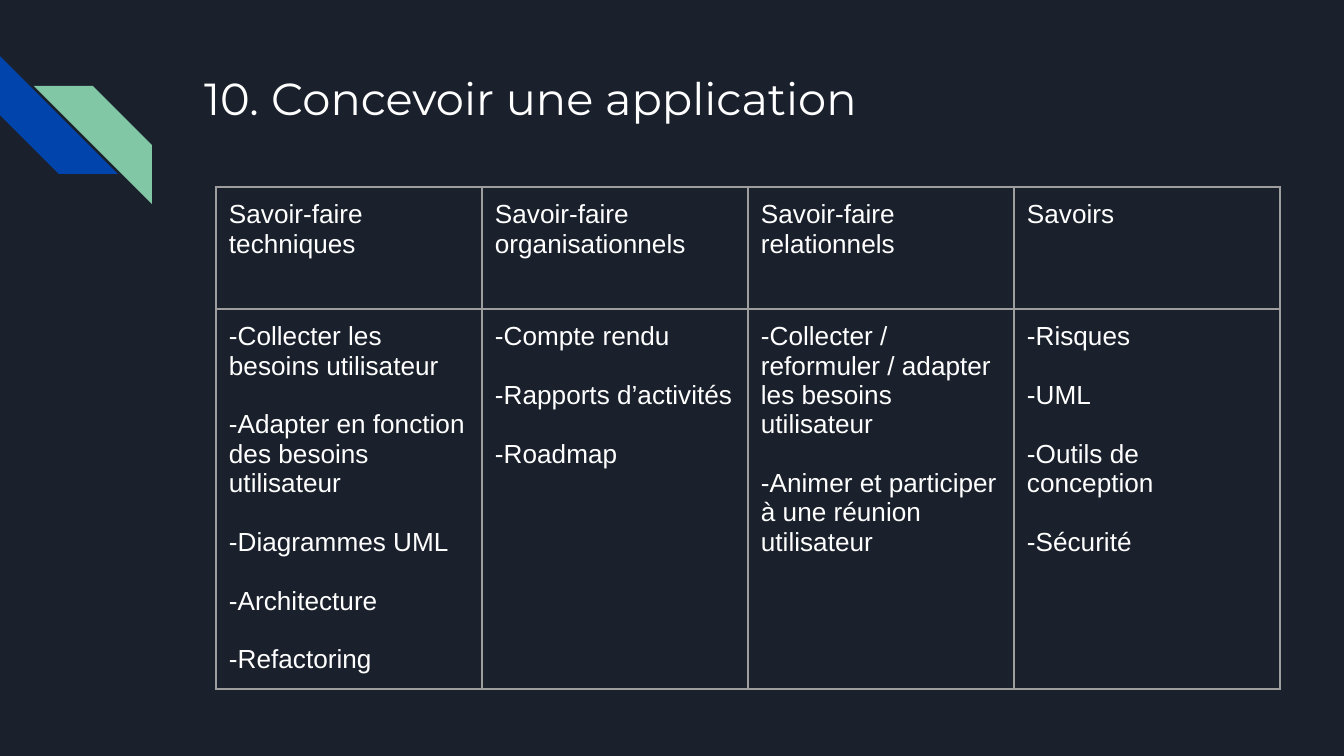
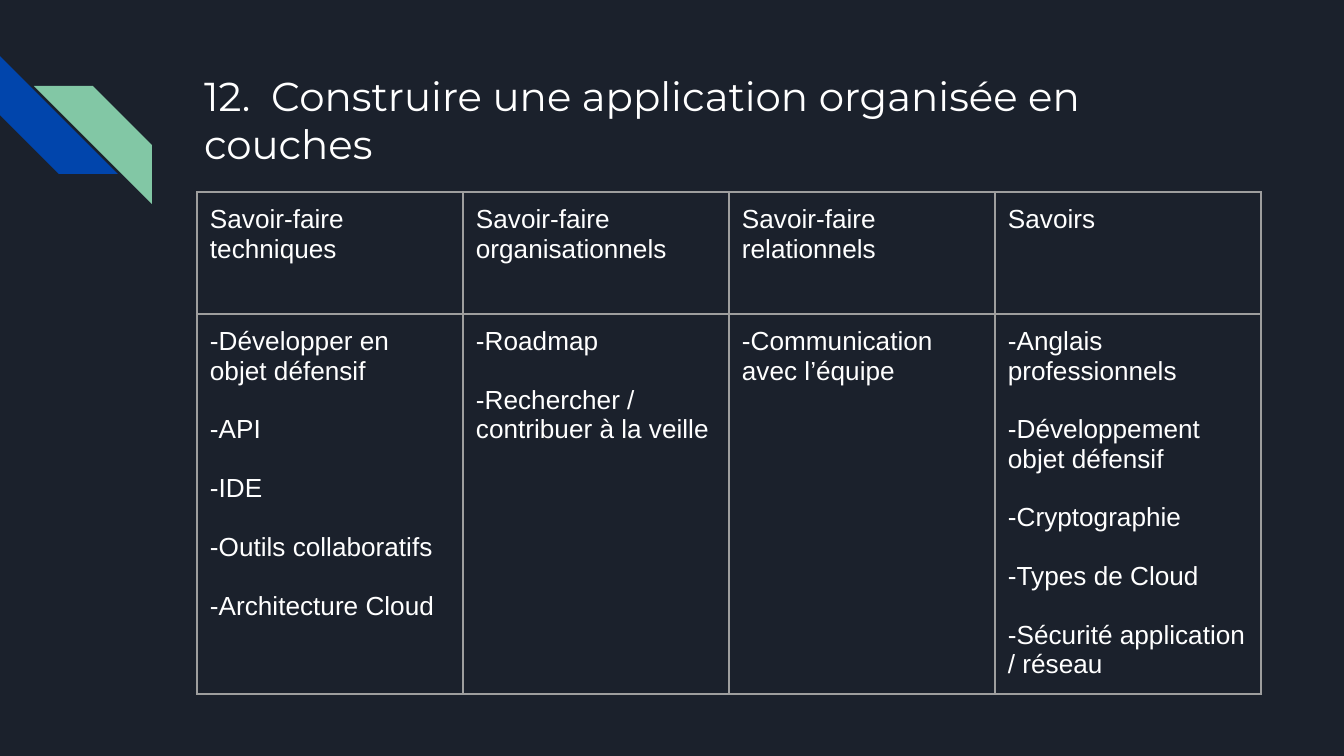
from lxml import etree
from pptx import Presentation
from pptx.dml.color import RGBColor
from pptx.enum.shapes import MSO_SHAPE
from pptx.enum.text import MSO_ANCHOR, MSO_AUTO_SIZE, PP_ALIGN
from pptx.oxml.ns import qn
from pptx.util import Pt

PX = 914400 / 134.4
TITLE_ONLY = 5
STRIPE = MSO_SHAPE.DIAGONAL_STRIPE
TOP = MSO_ANCHOR.TOP
LEFT = PP_ALIGN.LEFT
NO_AUTOFIT = MSO_AUTO_SIZE.NONE

NAVY = RGBColor(0x1B, 0x21, 0x2C)
BLUE = RGBColor(0x01, 0x45, 0xAC)
GREEN = RGBColor(0x82, 0xC7, 0xA5)
GREY = RGBColor(0x9E, 0x9E, 0x9E)
WHITE = RGBColor(0xFF, 0xFF, 0xFF)

TITLE_BOX = (191, 58, 1035, 134)
STRIPES_ORIGIN = (0, 56)
STRIPE_SIZE = 118
INSET = 13
COLUMN_WIDTH = 266
ROW_HEIGHTS = (122, 380)
HEADERS = ["Savoir-faire techniques", "Savoir-faire organisationnels",
           "Savoir-faire relationnels", "Savoirs"]

SLIDES = [
    {
        "title": "10.\tConcevoir une application",
        "title_size": 24,
        "table_at": (216, 187),
        "skills": [
            ["-Collecter les besoins utilisateur",
             "-Adapter en fonction des besoins utilisateur",
             "-Diagrammes UML", "-Architecture", "-Refactoring"],
            ["-Compte rendu", "-Rapports d’activités", "-Roadmap"],
            ["-Collecter / reformuler / adapter les besoins utilisateur",
             "-Animer et participer à une réunion utilisateur"],
            ["-Risques", "-UML", "-Outils de conception", "-Sécurité"],
        ],
    },
    {
        "title": "12.\tConstruire une application organisée en couches",
        "title_size": 21.6,
        "table_at": (197, 192),
        "skills": [
            ["-Développer en objet défensif", "-API", "-IDE",
             "-Outils collaboratifs", "-Architecture Cloud"],
            ["-Roadmap", "-Rechercher / contribuer à la veille"],
            ["-Communication avec l’équipe"],
            ["-Anglais professionnels", "-Développement objet défensif",
             "-Cryptographie", "-Types de Cloud",
             "-Sécurité application / réseau"],
        ],
    },
]


def px(n):
    return round(n * PX)


def write(tf, lines, font="Arial", size=14, color=WHITE, gap=0):
    """Write one paragraph per line, with gap points between them."""
    tf.word_wrap = True
    for i, line in enumerate(lines):
        p = tf.add_paragraph() if i else tf.paragraphs[0]
        p.alignment = LEFT
        if i:
            p.space_before = Pt(gap)
        r = p.add_run()
        r.text = line
        r.font.name, r.font.size = font, Pt(size)
        r.font.color.rgb = color


def set_insets(frame):
    frame.margin_left = frame.margin_right = px(INSET)
    frame.margin_top = frame.margin_bottom = px(INSET)
    frame.vertical_anchor = TOP


def add_stripe(s, x, y, color):
    sp = s.shapes.add_shape(STRIPE, px(x), px(y),
                            px(STRIPE_SIZE), px(STRIPE_SIZE))
    sp.shadow.inherit = False
    sp.fill.solid()
    sp.fill.fore_color.rgb = color
    sp.line.fill.background()
    return sp


def add_stripes(s, layout, x, y):
    """Draw the two stripes on s and move them to its layout."""
    blue = add_stripe(s, x, y, BLUE)
    blue.rotation = 270
    green = add_stripe(s, x + 34, y + 30, GREEN)
    green.element.spPr.get_or_add_xfrm().set("flipH", "1")
    for sp in (blue, green):
        layout.shapes.element.append(sp.element)


def set_title(s, text, size, box):
    title = s.shapes.title
    title.left, title.top, title.width, title.height = map(px, box)
    tf = title.text_frame
    tf.auto_size = NO_AUTOFIT
    set_insets(tf)
    write(tf, [text], font="Montserrat", size=size)


def set_borders(cell):
    tc_pr = cell._tc.get_or_add_tcPr()
    for side in ("a:lnL", "a:lnR", "a:lnT", "a:lnB"):
        ln = etree.SubElement(tc_pr, qn(side), w=str(Pt(0.75)))
        fill = etree.SubElement(ln, qn("a:solidFill"))
        etree.SubElement(fill, qn("a:srgbClr"), val=str(GREY))


def add_skills_table(s, x, y, skills):
    rows = [[[header] for header in HEADERS], skills]
    table = s.shapes.add_table(
        len(rows), len(HEADERS), px(x), px(y),
        px(COLUMN_WIDTH * len(HEADERS)), px(sum(ROW_HEIGHTS))).table
    table.first_row = table.horz_banding = False
    for column in table.columns:
        column.width = px(COLUMN_WIDTH)
    for i, row in enumerate(rows):
        table.rows[i].height = px(ROW_HEIGHTS[i])
        for j, lines in enumerate(row):
            cell = table.cell(i, j)
            set_insets(cell)
            set_borders(cell)
            cell.fill.background()
            write(cell.text_frame, lines, gap=15.75)


def main():
    prs = Presentation()
    prs.slide_width, prs.slide_height = px(1344), px(756)
    background = prs.slide_master.background.fill
    background.solid()
    background.fore_color.rgb = NAVY
    layout = prs.slide_layouts[TITLE_ONLY]
    for content in SLIDES:
        s = prs.slides.add_slide(layout)
        set_title(s, content["title"], content["title_size"], TITLE_BOX)
        add_skills_table(s, *content["table_at"], content["skills"])
    add_stripes(prs.slides[0], layout, *STRIPES_ORIGIN)
    prs.save("out.pptx")


if __name__ == "__main__":
    main()
